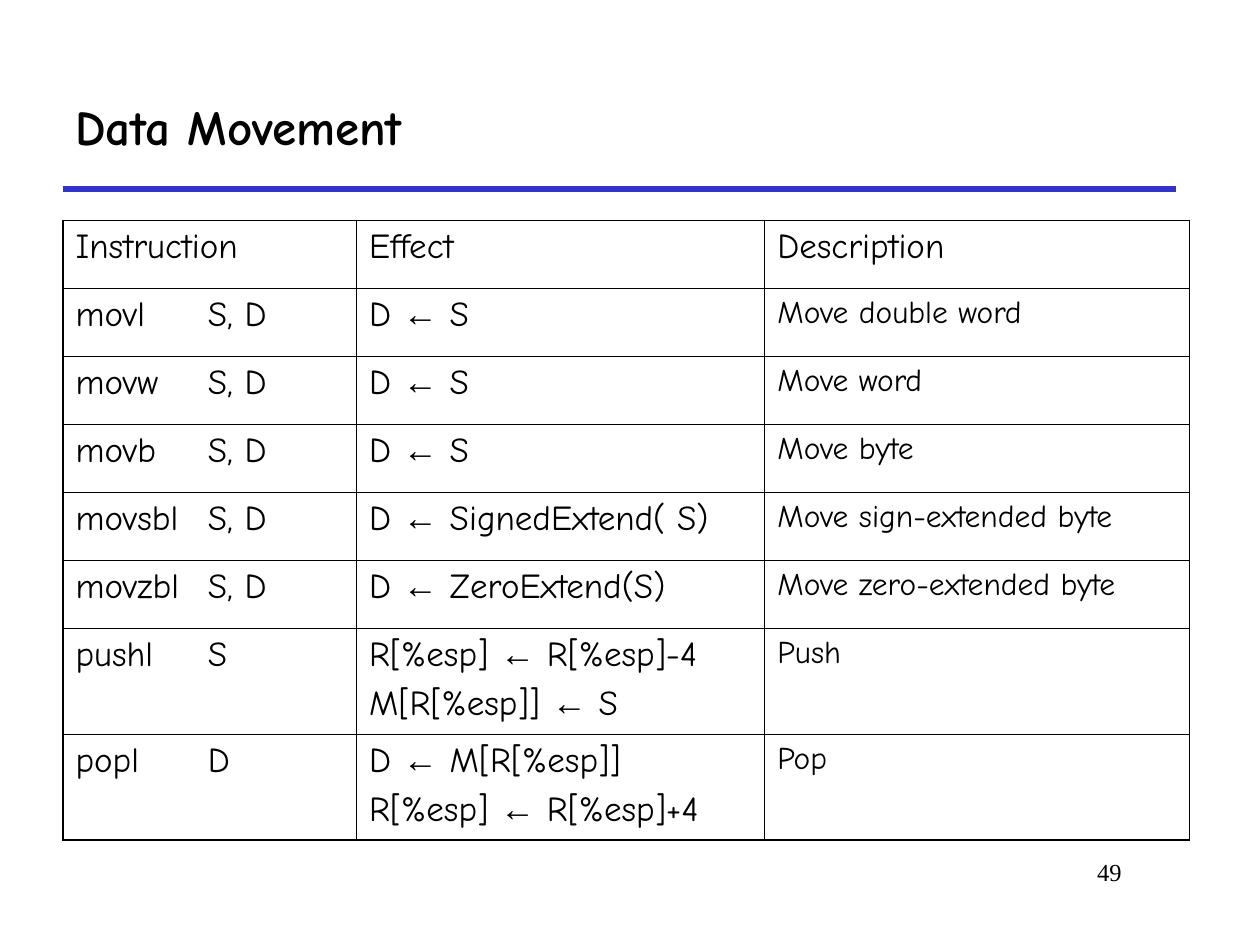
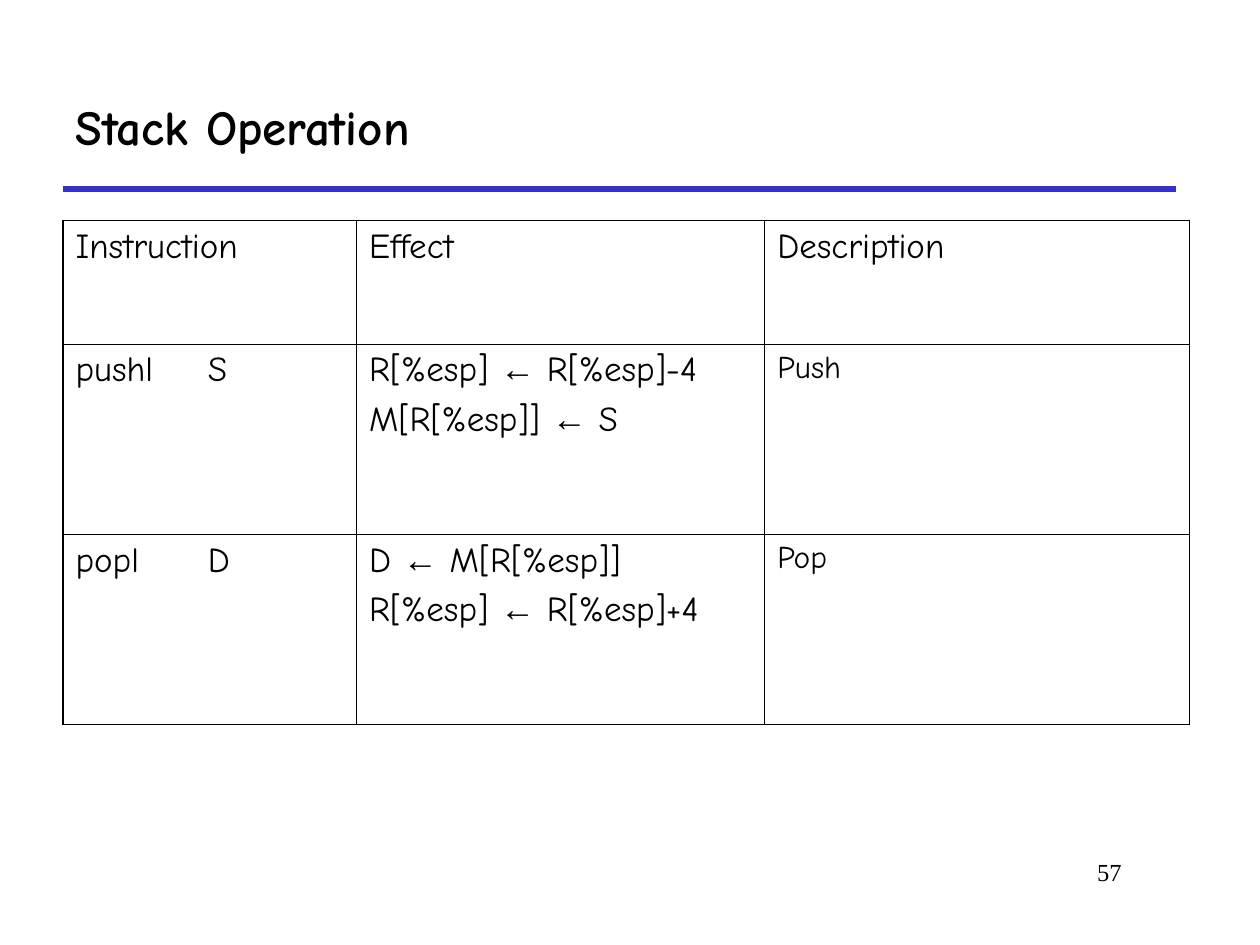
from dataclasses import dataclass
from typing import Any

from lxml import etree
from pptx import Presentation
from pptx.dml.color import RGBColor
from pptx.enum.shapes import MSO_CONNECTOR
from pptx.enum.text import MSO_ANCHOR, PP_ALIGN
from pptx.oxml.ns import qn
from pptx.util import Inches, Pt

STRAIGHT = MSO_CONNECTOR.STRAIGHT
MIDDLE = MSO_ANCHOR.MIDDLE
LEFT, RIGHT = PP_ALIGN.LEFT, PP_ALIGN.RIGHT

# Shared look
BLACK, RULE_BLUE = "000000", "3333CC"
BODY_FONT, ARROW_FONT, NUMBER_FONT = "Comic Neue", "Arial", "Times New Roman"
ARROW = "←"
TITLE_FORMAT = {"name": BODY_FONT, "size": Pt(28), "bold": True}
NUMBER_FORMAT = {"name": NUMBER_FONT, "size": Pt(14)}
CODE_FORMAT = {"name": BODY_FONT, "size": Pt(20)}
NOTE_FORMAT = {"name": BODY_FONT, "size": Pt(18)}

# Shared table geometry
TABLE_LEFT, TABLE_TOP = 0.5, 1.75
COLUMN_WIDTHS = (2.33, 3.24, 3.37)
OPERAND_STOP = 1.05
OUTER_BORDER, INNER_BORDER = Pt(1.08), Pt(0.45)
HEADINGS = ("Instruction", "Effect", "Description")


@dataclass(frozen=True)
class Instruction:
    mnemonic: str
    operands: str
    effects: tuple[str, ...]
    description: str


@dataclass(frozen=True)
class InstructionSlide:
    title: str
    number: int
    instructions: tuple[Instruction, ...]
    row_heights: tuple[float, ...]


STACK_INSTRUCTIONS = (
    Instruction("pushl", "S", ("R[%esp] ← R[%esp]-4", "M[R[%esp]] ← S"), "Push"),
    Instruction("popl", "D", ("D ← M[R[%esp]]", "R[%esp] ← R[%esp]+4"), "Pop"),
)
MOVE_INSTRUCTIONS = (
    Instruction("movl", "S, D", ("D ← S",), "Move double word"),
    Instruction("movw", "S, D", ("D ← S",), "Move word"),
    Instruction("movb", "S, D", ("D ← S",), "Move byte"),
    Instruction("movsbl", "S, D", ("D ← SignedExtend( S)",), "Move sign-extended byte"),
    Instruction("movzbl", "S, D", ("D ← ZeroExtend(S)",), "Move zero-extended byte"),
)
SLIDES = (
    InstructionSlide("Data Movement", 49, MOVE_INSTRUCTIONS + STACK_INSTRUCTIONS,
                     (0.54,) * 6 + (0.84,) * 2),
    InstructionSlide("Stack Operation", 57, STACK_INSTRUCTIONS, (0.98, 1.51, 1.51)),
)


def color(value: str) -> RGBColor:
    return RGBColor.from_string(value)


def add_run(paragraph: Any, text: str, font_format: dict[str, Any]) -> None:
    run = paragraph.add_run()
    run.text = text
    for name, value in font_format.items():
        setattr(run.font, name, value)
    run.font.color.rgb = color(BLACK)


def add_text_box(slide: Any, box: tuple[float, ...], text: str,
                 font_format: dict[str, Any], alignment: PP_ALIGN) -> Any:
    frame = slide.shapes.add_textbox(*map(Inches, box)).text_frame
    frame.word_wrap = True
    frame.paragraphs[0].alignment = alignment
    add_run(frame.paragraphs[0], text, font_format)
    return frame


def add_tab_stop(paragraph: Any, position: float) -> None:
    properties = paragraph._p.get_or_add_pPr()
    stops = etree.SubElement(properties, qn("a:tabLst"))
    etree.SubElement(stops, qn("a:tab"), pos=str(Inches(position)), algn="l")


def write_cell(cell: Any, lines: tuple[str, ...], font_format: dict[str, Any]) -> None:
    """Write one paragraph per line, with arrows in their own font."""
    frame = cell.text_frame
    for index, line in enumerate(lines):
        paragraph = frame.add_paragraph() if index else frame.paragraphs[0]
        if index:
            paragraph.space_before = Pt(5)
        if "\t" in line:
            add_tab_stop(paragraph, OPERAND_STOP)
        before, arrow, after = line.partition(ARROW)
        add_run(paragraph, before, font_format)
        if arrow:
            add_run(paragraph, arrow, {**font_format, "name": ARROW_FONT})
            add_run(paragraph, after, font_format)


def set_borders(cell: Any, outer_sides: dict[str, bool]) -> None:
    properties = cell._tc.get_or_add_tcPr()
    for index, (side, is_outer) in enumerate(outer_sides.items()):
        width = OUTER_BORDER if is_outer else INNER_BORDER
        border = etree.Element(qn(f"a:ln{side}"), w=str(width))
        fill = etree.SubElement(border, qn("a:solidFill"))
        etree.SubElement(fill, qn("a:srgbClr"), val=BLACK)
        properties.insert(index, border)


def add_instruction_table(slide: Any, content: InstructionSlide) -> None:
    heights = content.row_heights
    table = slide.shapes.add_table(
        len(heights), len(COLUMN_WIDTHS), Inches(TABLE_LEFT), Inches(TABLE_TOP),
        Inches(sum(COLUMN_WIDTHS)), Inches(sum(heights))).table
    table.first_row = table.horz_banding = False
    for column, width in zip(table.columns, COLUMN_WIDTHS):
        column.width = Inches(width)
    for row, height in zip(table.rows, heights):
        row.height = Inches(height)

    # Headings, then one row per instruction
    for column_index, heading in enumerate(HEADINGS):
        write_cell(table.cell(0, column_index), (heading,), CODE_FORMAT)
    for row_index, item in enumerate(content.instructions, start=1):
        write_cell(table.cell(row_index, 0), (f"{item.mnemonic}\t{item.operands}",), CODE_FORMAT)
        write_cell(table.cell(row_index, 1), item.effects, CODE_FORMAT)
        write_cell(table.cell(row_index, 2), (item.description,), NOTE_FORMAT)

    # Thin grid inside a heavier frame
    last_row, last_column = len(heights) - 1, len(COLUMN_WIDTHS) - 1
    for row_index in range(last_row + 1):
        for column_index in range(last_column + 1):
            cell = table.cell(row_index, column_index)
            cell.fill.background()
            set_borders(cell, {"L": column_index == 0, "R": column_index == last_column,
                               "T": row_index == 0, "B": row_index == last_row})


def add_title_rule(slide: Any) -> None:
    rule = slide.shapes.add_connector(
        STRAIGHT, Inches(0.5), Inches(1.5), Inches(9.33), Inches(1.5))
    rule.line.color.rgb = color(RULE_BLUE)
    rule.line.width = Pt(3)
    etree.SubElement(rule._element.spPr, qn("a:effectLst"))


def add_slide(presentation: Any, content: InstructionSlide) -> None:
    slide = presentation.slides.add_slide(presentation.slide_layouts[6])
    add_title_rule(slide)
    add_text_box(slide, (7.58, 6.75, 1.42, 0.5), str(content.number), NUMBER_FORMAT, RIGHT)
    title = add_text_box(slide, (0.5, 0.5, 8.83, 1), content.title, TITLE_FORMAT, LEFT)
    title.vertical_anchor = MIDDLE
    add_instruction_table(slide, content)


def main() -> None:
    presentation = Presentation()
    presentation.slide_width, presentation.slide_height = Inches(10), Inches(7.5)
    for content in SLIDES:
        add_slide(presentation, content)
    presentation.save("out.pptx")


if __name__ == "__main__":
    main()
